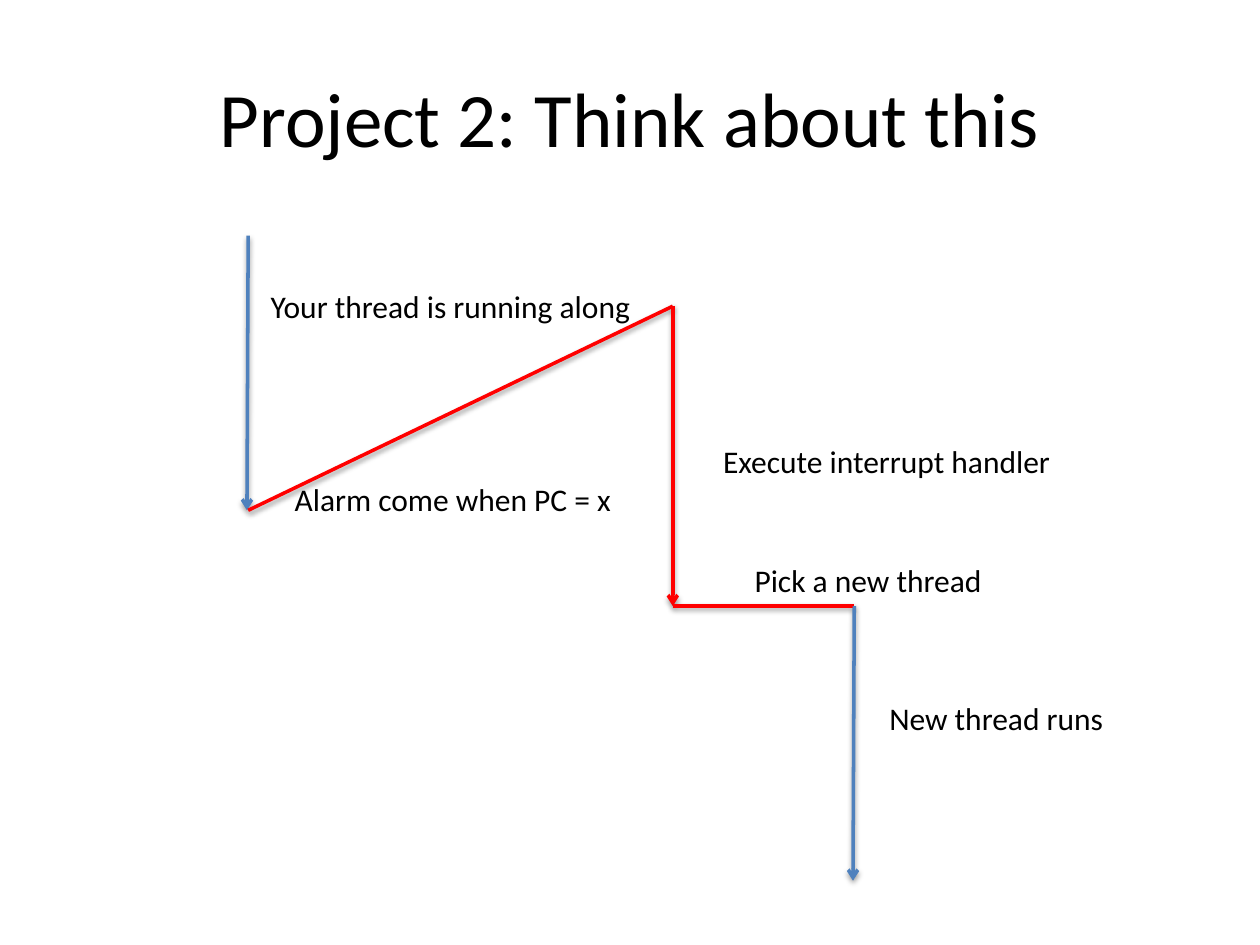
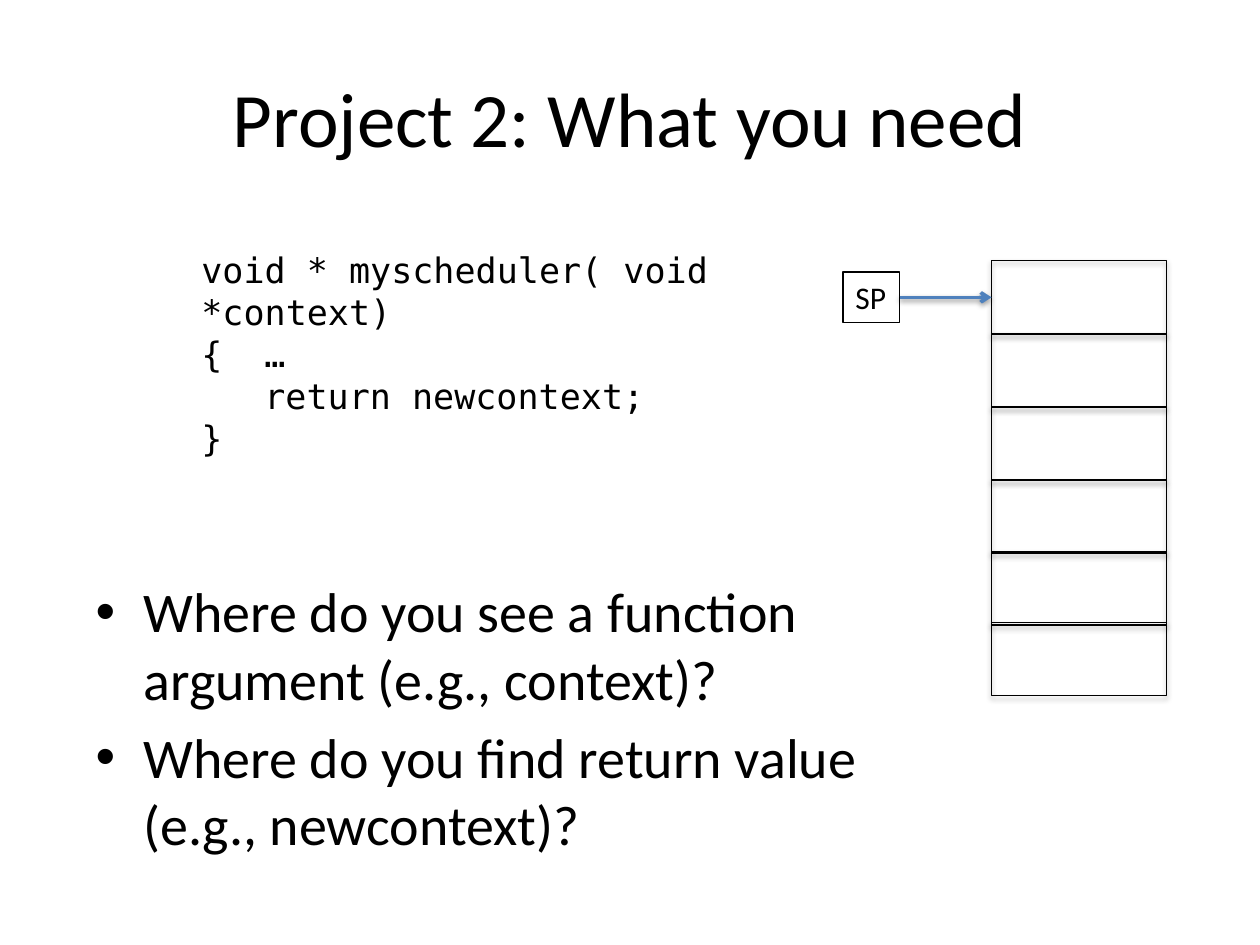
from lxml import etree
from pptx import Presentation
from pptx import util as u
from pptx.dml import color
from pptx.enum import shapes, text
from pptx.oxml import ns

SCALE = 9144
BLACK, BLUE, RED = "000000", "4F81BD", "FF0000"
SANS, MONO = "Calibri", "DejaVu Sans Mono"


def px(length):
    return u.Emu(length * SCALE)


def rgb(value):
    return color.RGBColor.from_string(value)


def child(parent, tag, **attributes):
    values = {name: str(value) for name, value in attributes.items()}
    return etree.SubElement(parent, ns.qn(tag), values)


class SlideBuilder:
    def __init__(self):
        self.deck = Presentation()
        self.deck.slide_width, self.deck.slide_height = px(1000), px(750)
        self.page = None

    def new_slide(self, title):
        self.page = self.deck.slides.add_slide(self.deck.slide_layouts[6])
        box = self.text(title, 50, 30, 900, 125, 44, wrap=True)
        box.text_frame.vertical_anchor = text.MSO_ANCHOR.MIDDLE
        box.text_frame.paragraphs[0].alignment = text.PP_ALIGN.CENTER

    def text(self, content, left, top, width, height, size, font=SANS, wrap=False):
        box = self.page.shapes.add_textbox(px(left), px(top), px(width), px(height))
        frame = box.text_frame
        frame.word_wrap = wrap
        frame.text = content
        for para in frame.paragraphs:
            for span in para.runs:
                span.font.name = font
                span.font.size = u.Pt(size)
                span.font.color.rgb = rgb(BLACK)
        return box

    def label(self, content, left, top, width):
        box = self.text(content, left, top, width, 40, 18)
        box.text_frame.auto_size = text.MSO_AUTO_SIZE.SHAPE_TO_FIT_TEXT
        return box

    def indent(self, para, margin, first=0):
        properties = para._p.get_or_add_pPr()
        properties.set("marL", str(px(margin)))
        properties.set("indent", str(px(first)))
        return properties

    def bullets(self, items, left, top, width, height):
        box = self.text("\n".join(items), left, top, width, height, 32, wrap=True)
        for para in box.text_frame.paragraphs:
            para.space_before = u.Pt(6.4)
            properties = self.indent(para, 38, -38)
            child(properties, "a:buFont", typeface="Arial")
            child(properties, "a:buChar", char="•")

    def code(self, lines, left, top, width, height):
        content = "\n".join(line for line, margin, first in lines)
        box = self.text(content, left, top, width, height, 20, MONO, wrap=True)
        for para, (line, margin, first) in zip(box.text_frame.paragraphs, lines):
            self.indent(para, margin, first)

    def outline(self, shape):
        shape.line.color.rgb = rgb(BLACK)
        shape.line.width = u.Pt(0.75)

    def shadow(self, shape, opacity, distance):
        effects = child(shape._element.spPr, "a:effectLst")
        outer = child(effects, "a:outerShdw", blurRad=u.Pt(3.1), dist=u.Pt(distance),
                      dir=5400000, rotWithShape=0)
        tint = child(outer, "a:srgbClr", val=BLACK)
        child(tint, "a:alpha", val=opacity * 1000)

    def cell(self, left, top, width, height):
        box = self.page.shapes.add_shape(
            shapes.MSO_SHAPE.RECTANGLE, px(left), px(top), px(width), px(height))
        box.fill.background()
        self.outline(box)
        self.shadow(box, 35, 1.8)

    def line(self, start, end, tint, arrow=False):
        connector = self.page.shapes.add_connector(
            shapes.MSO_CONNECTOR.STRAIGHT, *map(px, start + end))
        connector.line.color.rgb = rgb(tint)
        connector.line.width = u.Pt(2)
        if arrow:
            child(connector.line._get_or_add_ln(), "a:tailEnd", type="arrow")
        self.shadow(connector, 38, 1.6)


def thread_switch(builder):
    builder.new_slide("Project 2: Think about this")
    alarm, handler_start = (197, 405), (534, 243)
    handler_end, new_thread = (534, 481), (678, 481)
    builder.line((197, 187), (196, 405), BLUE, arrow=True)
    builder.label("Your thread is running along", 205, 223, 311)
    builder.label("Alarm come when PC = x", 224, 376, 274)
    builder.line(alarm, handler_start, RED)
    builder.line(handler_start, handler_end, RED, arrow=True)
    builder.line(handler_end, new_thread, RED)
    builder.label("Execute interrupt handler", 564, 346, 284)
    builder.line(new_thread, (677, 699), BLUE, arrow=True)
    builder.label("New thread runs", 696, 550, 193)
    builder.label("Pick a new thread", 589, 440, 203)


def scheduler_stack(builder):
    builder.new_slide("Project 2: What you need")
    builder.bullets(["Where do you see a function argument (e.g., context)?",
                     "Where do you find return value (e.g., newcontext)?"],
                    66, 453, 629, 256)
    for top in (207, 265, 323, 381, 438, 494):
        builder.cell(787, top, 139, 58)
    builder.outline(builder.label("SP", 669, 216, 45))
    builder.line((714, 236), (787, 236), BLUE, arrow=True)
    builder.code([("void * myscheduler( void *context)", 100, 0),
                  ("{\t…", 150, -50),
                  ("return newcontext;", 150, 0),
                  ("}", 100, 0)],
                 50, 192, 550, 178)


def main():
    builder = SlideBuilder()
    thread_switch(builder)
    scheduler_stack(builder)
    builder.deck.save("out.pptx")


if __name__ == "__main__":
    main()
